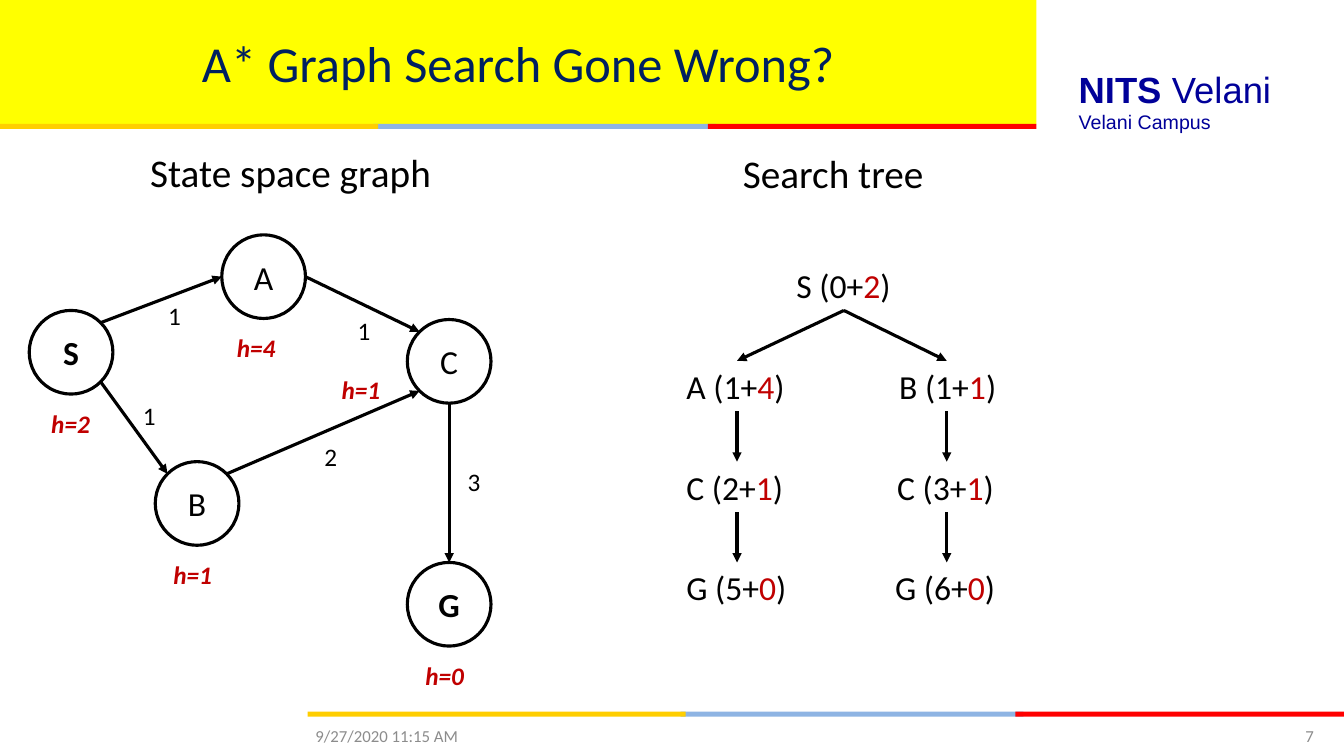
from math import cos, radians, sin

from lxml import etree
from pptx import Presentation
from pptx import util as u
from pptx.dml.color import RGBColor
from pptx.enum import shapes, text
from pptx.oxml.ns import qn

PX = 9144  # 100 px to the inch
THEME = {
    "ink": "000000", "paper": "FFFFFF", "heuristic": "C00000", "title": "002060",
    "banner": "FFFF00", "gold": "FFCE00", "blue": "8EB4E3", "red": "FF0000",
    "school": "000099", "footer": "8C8C8C",
    "body_font": "Calibri", "school_font": "Arial",
    "title_pt": 36, "heading_pt": 28, "school_pt": 26, "node_pt": 24,
    "label_pt": 18, "campus_pt": 14, "footer_pt": 12, "line_pt": 2.25,
}
ALIGN, ANCHOR = text.PP_ALIGN, text.MSO_ANCHOR

prs = Presentation()
prs.slide_width, prs.slide_height = 1333 * PX, 750 * PX
s = prs.slides.add_slide(prs.slide_layouts[6])


def write(box, runs, size, color="ink", bold=False, italic=False, font="body_font",
          align=ALIGN.LEFT, anchor=ANCHOR.TOP, wrap=False):
    """Fill a shape, or a new text box at a (left, top, width, height), with runs."""
    if isinstance(box, tuple):
        box = s.shapes.add_textbox(*[v * PX for v in box])
    tf = box.text_frame
    tf.word_wrap, tf.vertical_anchor = wrap, anchor
    p = tf.paragraphs[0]
    p.alignment = align
    for part in runs:
        r = p.add_run()
        r.text, own_color, own_bold = part if isinstance(part, tuple) else (part, color, bold)
        r.font.name, r.font.size = THEME[font], u.Pt(THEME[size])
        r.font.bold, r.font.italic = own_bold, italic
        r.font.color.rgb = RGBColor.from_string(THEME[own_color])


def arrow(start, end):
    """Draw a black line with a triangle at its end."""
    ends = [round(v * PX) for v in (*start, *end)]
    c = s.shapes.add_connector(shapes.MSO_CONNECTOR.STRAIGHT, *ends)
    c.line.width = u.Pt(THEME["line_pt"])
    c.line.color.rgb = RGBColor.from_string(THEME["ink"])
    etree.SubElement(c.line._get_or_add_ln(), qn("a:tailEnd"), type="triangle")
    etree.SubElement(c._element.spPr, qn("a:effectLst"))


# Banner and the two three-colour stripes
bars = [(0, 0, 1028, 123, "banner")]
for x, y in ((0, 123), (305, 706)):
    bars += [(x + 370, y, 340, 5, "blue"), (x + 702, y, 326, 5, "red"), (x, y, 375, 5, "gold")]
for x, y, w, h, color in bars:
    sp = s.shapes.add_shape(shapes.MSO_SHAPE.RECTANGLE, x * PX, y * PX, w * PX, h * PX)
    sp.shadow.inherit = False
    sp.fill.solid()
    sp.fill.fore_color.rgb = RGBColor.from_string(THEME[color])
    sp.line.fill.background()

# Title, school name and headings
write((0, 0, 1028, 123), ["A* Graph Search Gone Wrong?"], "title_pt", "title",
      align=ALIGN.CENTER, anchor=ANCHOR.MIDDLE, wrap=True)
write((1060, 62, 270, 54), [("NITS ", "school", True), ("Velani", "school", False)],
      "school_pt", font="school_font", wrap=True)
write((1060, 104, 239, 34), ["Velani Campus"], "campus_pt", "school",
      font="school_font", wrap=True)
write((139, 142, 302, 57), ["State space graph"], "heading_pt")
write((727, 143, 201, 57), ["Search tree"], "heading_pt")

# State space graph: nodes by top left corner, with the place of the h value
D = 83
nodes = {
    "S": (29, 308, "h=2", 41, 400),
    "A": (220, 233, "h=4", 225, 325),
    "B": (154, 458, "h=1", 162, 550),
    "C": (404, 317, "h=1", 329, 366),
    "G": (404, 558, "h=0", 412, 650),
}
for name, (x, y, h_value, hx, hy) in nodes.items():
    sp = s.shapes.add_shape(shapes.MSO_SHAPE.OVAL, x * PX, y * PX, D * PX, D * PX)
    sp.shadow.inherit = False
    sp.fill.solid()
    sp.fill.fore_color.rgb = RGBColor.from_string(THEME["paper"])
    sp.line.color.rgb = RGBColor.from_string(THEME["ink"])
    sp.line.width = u.Pt(THEME["line_pt"])
    write(sp, [name], "node_pt", bold=name in "SG", align=ALIGN.CENTER,
          anchor=ANCHOR.MIDDLE, wrap=True)
    write((hx, hy, 65, 40), [h_value], "label_pt", "heuristic", bold=True, italic=True)

# Edges: node and angle on its rim (clockwise from the right) at both ends, cost and its place
edges = [
    ("S", -45, "A", 180, "1", 157, 293),
    ("S", 45, "B", -135, "1", 132, 392),
    ("B", -45, "C", 135, "2", 312, 433),
    ("A", 0, "C", -135, "1", 345, 308),
    ("C", 90, "G", -90, "3", 454, 458),
]
for tail, tail_angle, head, head_angle, cost, cx, cy in edges:
    ends = []
    for name, angle in ((tail, tail_angle), (head, head_angle)):
        x, y = nodes[name][:2]
        ends.append((x + D / 2 * (1 + cos(radians(angle))),
                     y + D / 2 * (1 + sin(radians(angle)))))
    arrow(*ends)
    write((cx, cy, 34, 40), [cost], "label_pt")

# Search tree: root, then two branches of three states each
ROOT_Y, ROW, ROW_H = 258, 100, 50
tree = [(780, ROOT_Y, 115, "S (0+", "2")]
branches = [
    (731, [(671, 119, "A (1+", "4"), (671, 117, "C (2+", "1"), (671, 120, "G (5+", "0")]),
    (939, [(882, 117, "B (1+", "1"), (880, 117, "C (3+", "1"), (878, 120, "G (6+", "0")]),
]
for mid, states in branches:
    start = (837, ROOT_Y + ROW_H)
    for depth, (x, w, path_cost, h_value) in enumerate(states, 1):
        y = ROOT_Y + depth * ROW
        arrow(start, (mid, y))
        start = (mid, y + ROW_H)
        tree.append((x, y, w, path_cost, h_value))
for x, y, w, path_cost, h_value in tree:
    write((x, y, w, ROW_H), [path_cost, (h_value, "heuristic", False), ")"], "node_pt")

# Footer
write((303, 710, 311, 40), ["9/27/2020 11:15 AM"], "footer_pt", "footer",
      anchor=ANCHOR.MIDDLE, wrap=True)
write((1167, 710, 146, 40), ["7"], "footer_pt", "footer",
      align=ALIGN.RIGHT, anchor=ANCHOR.MIDDLE, wrap=True)

prs.save("out.pptx")
